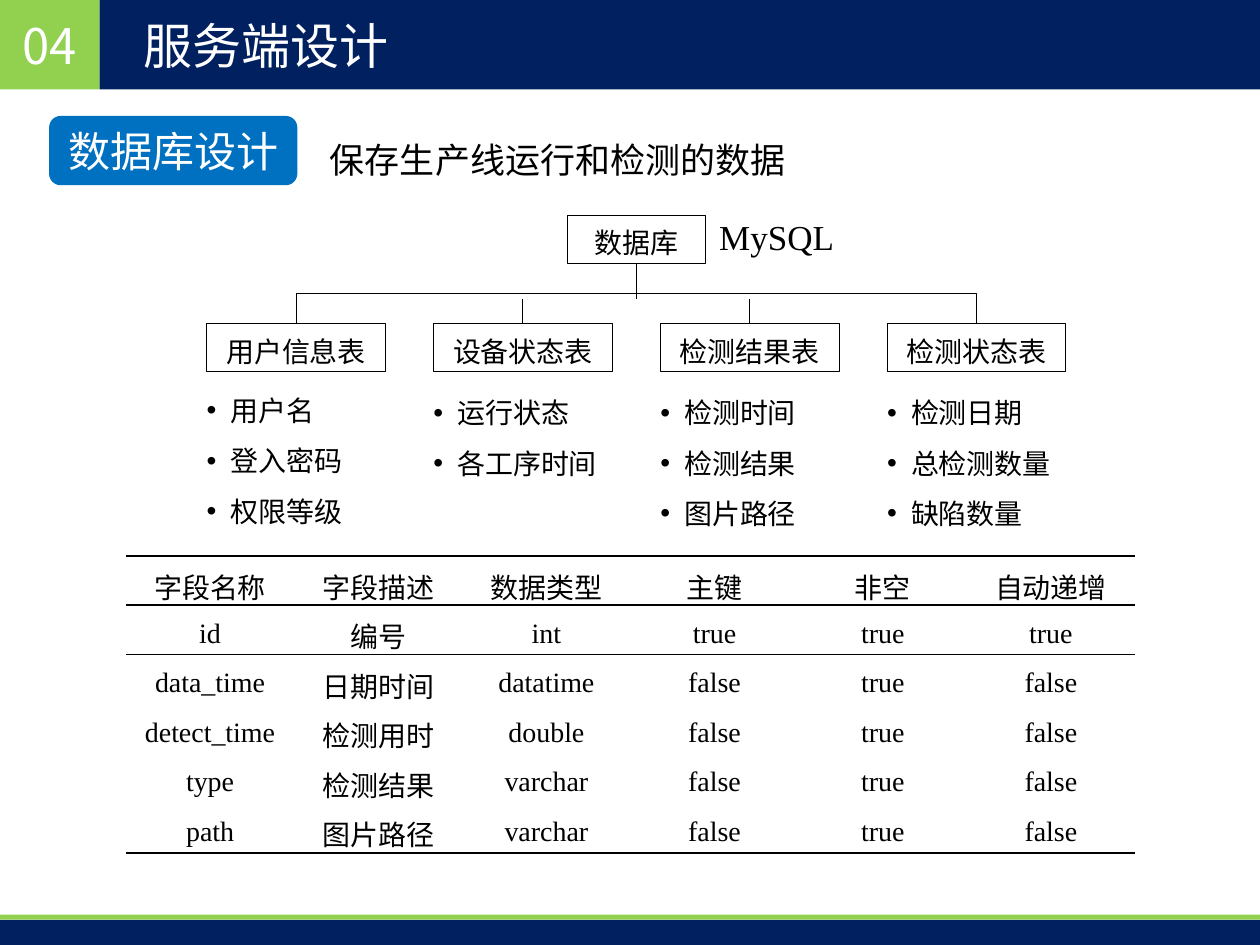
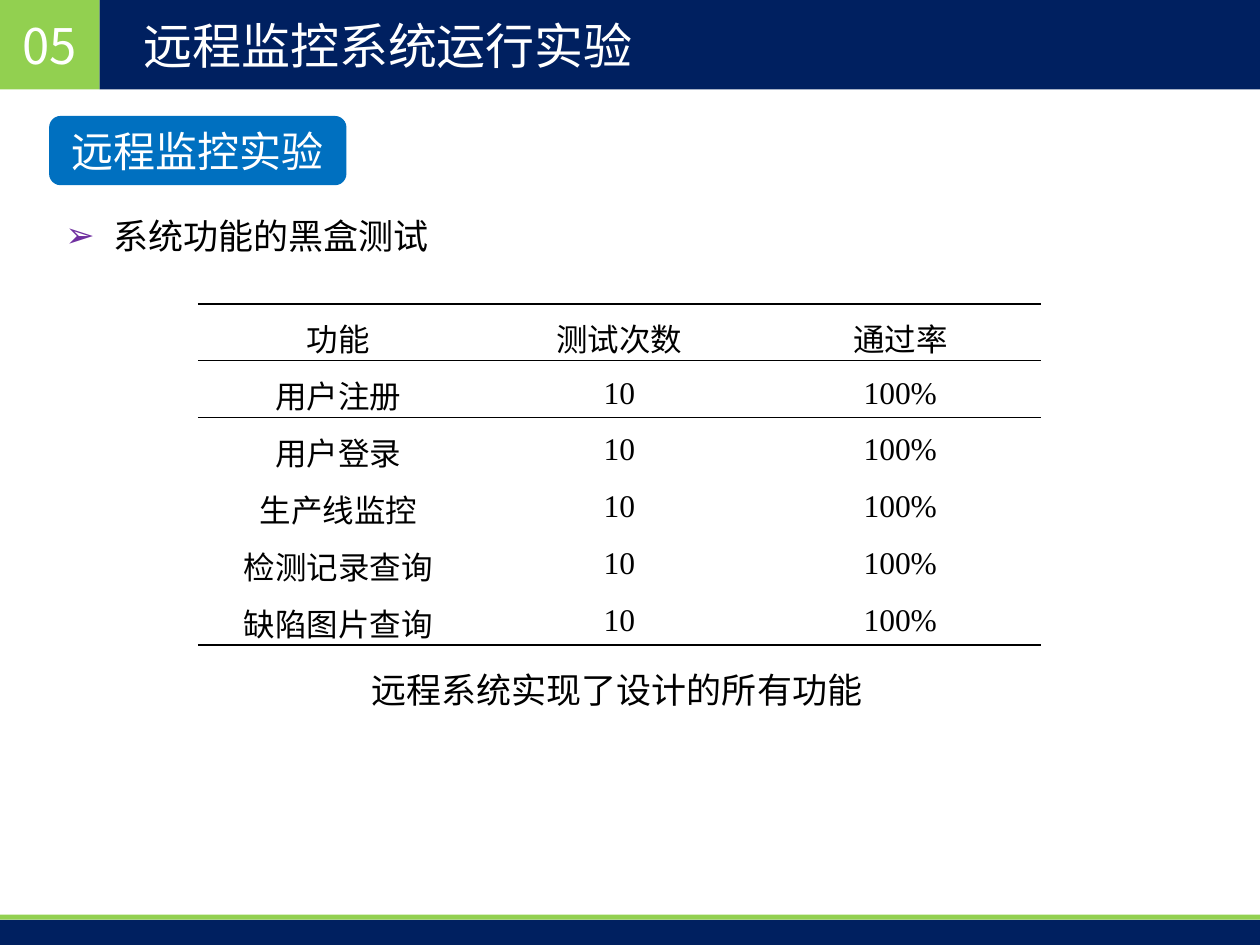
import dataclasses

import lxml.etree
import pptx
import pptx.dml.color
import pptx.enum.shapes
import pptx.enum.text
import pptx.oxml.ns
import pptx.util

ALIGN = pptx.enum.text.PP_ALIGN
ANCHOR = pptx.enum.text.MSO_ANCHOR
SHAPE = pptx.enum.shapes.MSO_SHAPE
qn = pptx.oxml.ns.qn


@dataclasses.dataclass(frozen=True)
class Theme:
    navy: str = "002060"
    green: str = "92D050"
    blue: str = "0070C0"
    purple: str = "7030A0"
    black: str = "000000"
    white: str = "FFFFFF"
    title_font: str = "Noto Sans CJK SC"
    body_font: str = "Times New Roman"
    point_font: str = "Arial"
    closing_font: str = "Calibri"
    title_size: int = 28
    badge_size: int = 24
    lead_size: int = 20
    wide_table_size: int = 18
    body_size: int = 16
    thin: float = 0.5
    rule: float = 1
    heavy_rule: float = 1.5


def apply(target, values):
    for attribute, value in values.items():
        setattr(target, attribute, value)


def rgb(color):
    return pptx.dml.color.RGBColor.from_string(color)


def child(parent, tag, **attributes):
    return lxml.etree.SubElement(parent, qn(tag), attributes)


class Deck:
    COLUMNS, ROWS = 100, 75

    def __init__(self, theme):
        self.theme = theme
        self.file = pptx.Presentation()
        apply(self.file, {"slide_width": pptx.util.Inches(10), "slide_height": pptx.util.Inches(7.5)})
        self.slide = None

    def x(self, columns):
        return round(self.file.slide_width * columns / self.COLUMNS)

    def y(self, rows):
        return round(self.file.slide_height * rows / self.ROWS)

    def place(self, left, top, width, height):
        return self.x(left), self.y(top), self.x(width), self.y(height)

    def start(self, number, title, badge, badge_width):
        t = self.theme
        self.slide = self.file.slides.add_slide(self.file.slide_layouts[6])
        heading = {"size": t.title_size, "font": t.title_font, "color": t.white}
        number_block = self.box((0, 0, 7.9, 7.1), fill=t.green)
        self.set_lines(number_block.text_frame, [number], align=ALIGN.CENTER, **heading)
        self.box((7.9, 0, 92.1, 7.1), fill=t.navy)
        self.box((0, 73, 100, 2), fill=t.navy)
        self.box((0, 72.6, 100, 0.4), fill=t.green)
        self.text((10.4, 0, 80.3, 7.1), [title], anchor=ANCHOR.MIDDLE, **heading)
        label = self.box((3.9, 9.2, badge_width, 5.5), SHAPE.ROUNDED_RECTANGLE, t.blue)
        self.set_lines(label.text_frame, [badge], size=t.badge_size, color=t.white, align=ALIGN.CENTER)

    def paint(self, shape, fill=None, line=None):
        shape.shadow.inherit = False
        if fill:
            shape.fill.solid()
            shape.fill.fore_color.rgb = rgb(fill)
        else:
            shape.fill.background()
        if line:
            self.stroke(shape.line, line)
        else:
            shape.line.fill.background()

    def stroke(self, line, color):
        line.color.rgb = rgb(color)
        line.width = pptx.util.Pt(self.theme.thin)

    def box(self, area, outline=SHAPE.RECTANGLE, fill=None, line=None):
        shape = self.slide.shapes.add_shape(outline, *self.place(*area))
        self.paint(shape, fill, line)
        apply(shape.text_frame, {"word_wrap": True, "vertical_anchor": ANCHOR.MIDDLE})
        return shape

    def node(self, area, label):
        frame = self.box(area, line=self.theme.black).text_frame
        apply(frame, {"margin_top": self.y(0.8), "margin_bottom": self.y(0.8)})
        self.set_lines(frame, [label], align=ALIGN.CENTER, spacing=1.2)

    def text(self, area, lines, anchor=ANCHOR.TOP, wrap=True, left_margin=1, **style):
        frame = self.slide.shapes.add_textbox(*self.place(*area)).text_frame
        apply(frame, {"word_wrap": wrap, "vertical_anchor": anchor, "margin_left": self.x(left_margin)})
        self.set_lines(frame, lines, **style)

    def set_lines(self, frame, lines, size=None, font=None, color=None, align=ALIGN.LEFT, spacing=None, bullet=None):
        for index, line in enumerate(lines):
            paragraph = frame.add_paragraph() if index else frame.paragraphs[0]
            apply(paragraph, {"alignment": align, "line_spacing": spacing})
            if bullet:
                self.bullet(paragraph, **bullet)
            run = paragraph.add_run()
            run.text = line
            apply(run.font, {
                "size": pptx.util.Pt(size or self.theme.body_size),
                "name": font or self.theme.body_font,
            })
            run.font.color.rgb = rgb(color or self.theme.black)
            child(run._r.get_or_add_rPr(), "a:ea", typeface=self.theme.title_font)

    def bullet(self, paragraph, mark, indent, hang, color):
        properties = paragraph._p.get_or_add_pPr()
        properties.set("marL", str(self.x(indent)))
        properties.set("indent", str(-self.x(hang)))
        child(child(properties, "a:buClr"), "a:srgbClr", val=color)
        child(properties, "a:buFont", typeface=self.theme.point_font)
        child(properties, "a:buChar", char=mark)

    def line(self, column, top, bottom):
        connector = self.slide.shapes.add_connector(
            pptx.enum.shapes.MSO_CONNECTOR.STRAIGHT,
            self.x(column), self.y(top), self.x(column), self.y(bottom))
        self.stroke(connector.line, self.theme.black)
        child(connector._element.spPr, "a:effectLst")

    def bracket(self, left, right, top, bottom):
        corners = [(left, top), (right, top), (right, bottom)]
        outline = self.slide.shapes.build_freeform(self.x(left), self.y(bottom))
        outline.add_line_segments([(self.x(c), self.y(r)) for c, r in corners], close=False)
        self.paint(outline.convert_to_shape(), line=self.theme.black)

    def table(self, area, records, size):
        t = self.theme
        count, fields = len(records), len(records[0])
        table = self.slide.shapes.add_table(count, fields, *self.place(*area)).table
        apply(table, {"first_row": False, "horz_banding": False})
        rules = {0: t.heavy_rule, 1: t.rule, 2: t.rule, count: t.heavy_rule}
        margins = {"margin_left": self.x(0.7), "margin_right": self.x(0.7), "margin_top": 0, "margin_bottom": 0}
        for row, record in enumerate(records):
            for column, value in enumerate(record):
                cell = table.cell(row, column)
                apply(cell, {**margins, "vertical_anchor": ANCHOR.MIDDLE})
                self.set_lines(cell.text_frame, [value], size=size, align=ALIGN.CENTER, spacing=1.25)
                edges = {"L": None, "R": None, "T": rules.get(row), "B": rules.get(row + 1)}
                for side, width in edges.items():
                    self.border(cell, side, width)
                cell.fill.background()

    def border(self, cell, side, width):
        edge = child(cell._tc.get_or_add_tcPr(), "a:ln" + side, w=str(int(pptx.util.Pt(width or 0))))
        if width:
            child(child(edge, "a:solidFill"), "a:srgbClr", val=self.theme.black)
        else:
            child(edge, "a:noFill")


def database_slide(deck):
    t = deck.theme
    deck.start("04", "服务端设计", "数据库设计", 19.7)
    deck.text((25.2, 9.7, 41.4, 4.9), ["保存生产线运行和检测的数据"],
              size=t.lead_size, align=ALIGN.JUSTIFY, spacing=1.25)

    data_tables = {
        "用户信息表": ["用户名", "登入密码", "权限等级"],
        "设备状态表": ["运行状态", "各工序时间"],
        "检测结果表": ["检测时间", "检测结果", "图片路径"],
        "检测状态表": ["检测日期", "总检测数量", "缺陷数量"],
    }
    first, pitch, node_width, node_top = 16.4, 18, 14.2, 25.7
    lefts = [first + pitch * index for index in range(len(data_tables))]
    centers = [left + node_width / 2 for left in lefts]
    root = (centers[0] + centers[-1]) / 2

    deck.node((root - 5.45, 17.1, 10.9, 3.8), "数据库")
    deck.text((56.1, 16.6, 11.2, 4.4), ["MySQL"], size=t.lead_size, wrap=False)
    deck.bracket(centers[0], centers[-1], 23.3, node_top)
    deck.line(root, 20.9, 23.7)
    for center in centers[1:-1]:
        deck.line(center, 23.7, node_top)

    field_mark = {"mark": "•", "indent": 4.9, "hang": 1.9, "color": t.black}
    for left, (name, fields) in zip(lefts, data_tables.items()):
        deck.node((left, node_top, node_width, 3.8), name)
        list_top = 29.4 if left == first else 29.6
        deck.text((left - 3, list_top, 17.2, 0.6 + 4 * len(fields)), fields,
                  left_margin=0, spacing=1.5, bullet=field_mark)

    deck.table((10, 44.1, 80.1, 23.6), [
        ("字段名称", "字段描述", "数据类型", "主键", "非空", "自动递增"),
        ("id", "编号", "int", "true", "true", "true"),
        ("data_time", "日期时间", "datatime", "false", "true", "false"),
        ("detect_time", "检测用时", "double", "false", "true", "false"),
        ("type", "检测结果", "varchar", "false", "true", "false"),
        ("path", "图片路径", "varchar", "false", "true", "false"),
    ], t.body_size)


def experiment_slide(deck):
    t = deck.theme
    deck.start("05", "远程监控系统运行实验", "远程监控实验", 23.6)
    deck.text((4.2, 16.5, 32.1, 4.4), ["系统功能的黑盒测试"], size=t.lead_size, font=t.point_font,
              bullet={"mark": "➢", "indent": 3.8, "hang": 3.8, "color": t.purple})
    functions = ["用户注册", "用户登录", "生产线监控", "检测记录查询", "缺陷图片查询"]
    results = [(function, "10", "100%") for function in functions]
    deck.table((15.7, 24.1, 66.9, 27.1), [("功能", "测试次数", "通过率"), *results], t.wide_table_size)
    deck.text((28.5, 51.7, 41.4, 4.9), ["远程系统实现了设计的所有功能"],
              size=t.lead_size, font=t.closing_font, align=ALIGN.JUSTIFY, spacing=1.25)


def main():
    deck = Deck(Theme())
    database_slide(deck)
    experiment_slide(deck)
    deck.file.save("out.pptx")


if __name__ == "__main__":
    main()
